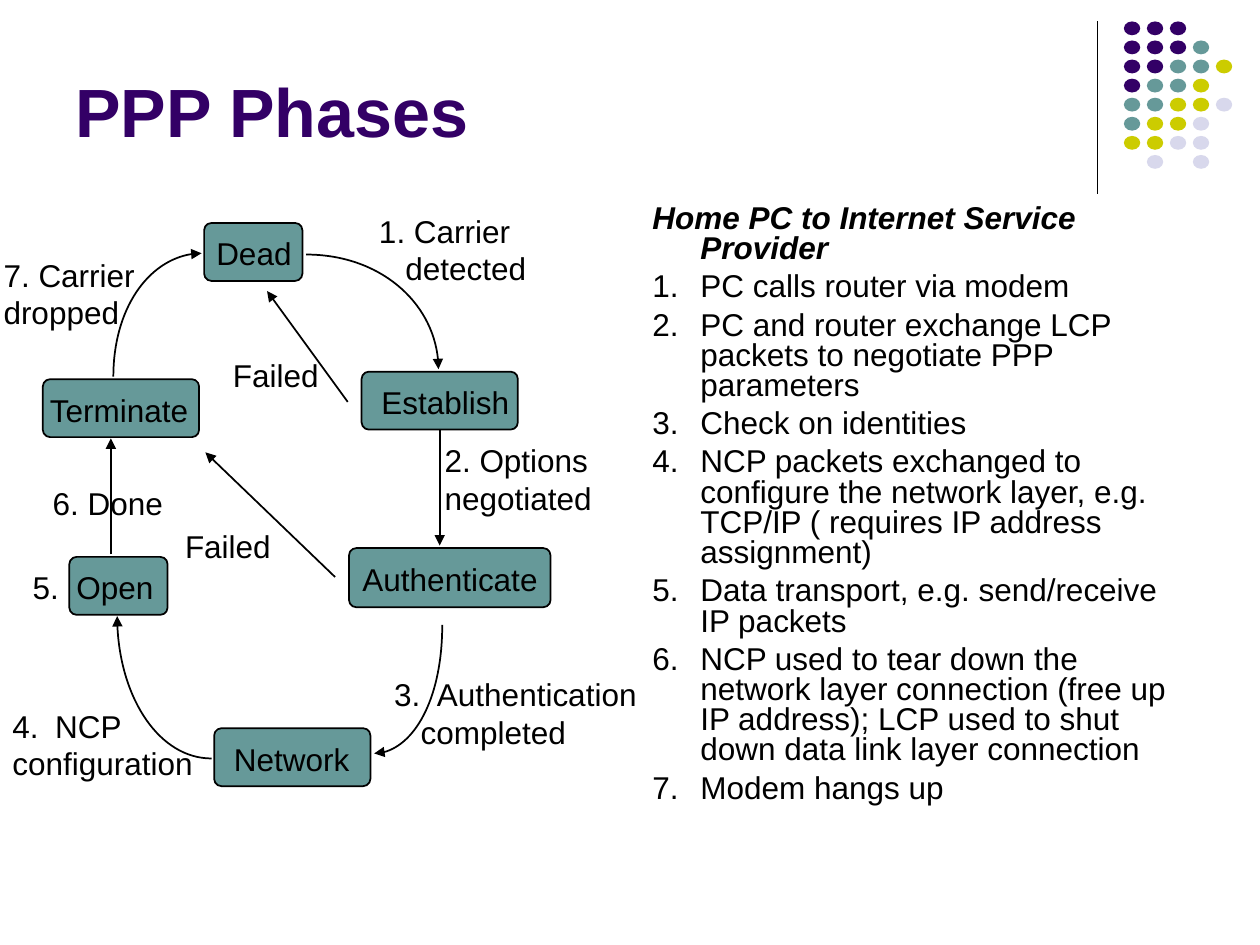
from lxml.etree import SubElement
from pptx import Presentation
from pptx.dml.color import RGBColor
from pptx.enum.shapes import MSO_CONNECTOR as Link, MSO_SHAPE as Form
from pptx.enum.text import MSO_ANCHOR as Anchor, PP_ALIGN as Align
from pptx.oxml.ns import qn
from pptx.util import Inches, Pt

BLACK, PURPLE, TEAL = "000000", "330066", "669999"
DOT_COLORS = {"P": PURPLE, "T": TEAL, "Y": "CCCC00", "L": "D8D8EC"}
DOT_ROWS = ["PPP  ", "PPPT ", "PPTTY", "PTTY ", "TTYYL", "TYYL ", "YYLL ", " L L "]

STEPS = [
    "PC calls router via modem",
    "PC and router exchange LCP packets to negotiate PPP parameters",
    "Check on identities",
    "NCP packets exchanged to configure the network layer, e.g. TCP/IP "
    "( requires IP address assignment)",
    "Data transport, e.g. send/receive IP packets",
    "NCP used to tear down the network layer connection (free up IP address); "
    "LCP used to shut down data link layer connection",
    "Modem hangs up",
]

# Phase name: left, top, width, height, left inset of the text
PHASES = {
    "Dead": (1.62, 1.77, 0.78, 0.46, 0.08),
    "Terminate": (0.34, 3.01, 1.24, 0.46, 0.04),
    "Open": (0.55, 4.42, 0.78, 0.46, 0.04),
    "Network": (1.7, 5.78, 1.24, 0.46, 0.14),
    "Establish": (2.87, 2.95, 1.24, 0.46, 0.14),
    "Authenticate": (2.77, 4.35, 1.6, 0.47, 0.09),
}

# Start, corner and end of each quarter-ellipse arrow
CURVES = [
    ((2.43, 2.02), (3.48, 2.02), (3.48, 2.93)),
    ((3.51, 4.96), (3.51, 5.98), (2.97, 5.98)),
    ((1.68, 6.02), (0.93, 6.02), (0.93, 4.89)),
    ((0.9, 2.99), (0.9, 2.01), (1.6, 2.01)),
]
STRAIGHTS = [
    ((0.88, 4.4), (0.88, 3.48)),
    ((2.76, 3.19), (2.12, 2.31)),
    ((2.66, 4.58), (1.63, 3.59)),
]

# Left, top, width, then (text, left margin, first-line indent) per line
LABELS = [
    (1.75, 2.78, 0.88, [("Failed", 0, 0)]),
    (1.37, 4.13, 0.88, [("Failed", 0, 0)]),
    (2.91, 1.63, 1.37, [("1. Carrier", 0, 0), ("detected", 0.21, 0)]),
    (3.43, 3.45, 1.37, [("2. Options", 0, 0), ("negotiated", 0, 0)]),
    (3.03, 5.31, 2.13, [("3.\tAuthentication", 0.34, -0.34), ("completed", 0.21, 0)]),
    (0, 5.56, 1.63, [("4.\tNCP", 0.34, -0.34), ("configuration", 0, 0)]),
    (0.32, 3.79, 1.07, [("6. Done", 0, 0)]),
    (-0.07, 1.98, 1.24, [("7. Carrier", 0, 0), ("dropped", 0, 0)]),
    (0.16, 4.46, 0.41, [("5.", 0, 0)]),
]


def color(value):
    return RGBColor.from_string(value)


def apply(target, formats):
    for name, value in formats.items():
        setattr(target, name, value)


def inches(*values):
    return [Inches(value) for value in values]


def write(para, text, margin=0, indent=0, ink=BLACK, **font):
    props = para._p.get_or_add_pPr()
    props.set("marL", str(Inches(margin)))
    props.set("indent", str(Inches(indent)))
    para.alignment = Align.LEFT
    span = para.add_run()
    span.text = text
    apply(span.font, {"name": "Arial", "size": Pt(18), **font})
    span.font.color.rgb = color(ink)


def add_text_box(page, box, lines, anchor=Anchor.TOP, spacing=None, **font):
    frame = page.shapes.add_textbox(*inches(*box)).text_frame
    apply(frame, {"word_wrap": True, "vertical_anchor": anchor})
    for index, (text, margin, indent) in enumerate(lines):
        para = frame.add_paragraph() if index else frame.paragraphs[0]
        write(para, text, margin, indent, **font)
        if spacing:
            para.line_spacing = spacing
            para.space_before = Pt(4.5 if index else 0)
    return frame


def style_line(shape, width=1.0, arrow=True):
    shape.line.color.rgb = color(BLACK)
    shape.line.width = Pt(width)
    if arrow:
        SubElement(shape.line._get_or_add_ln(), qn("a:tailEnd"), type="triangle")


def add_line(page, start, end, **style):
    line = page.shapes.add_connector(Link.STRAIGHT, *inches(*start, *end))
    style_line(line, **style)
    SubElement(line._element.spPr, qn("a:effectLst"))
    return line


def add_curve(page, start, corner, end):
    def toward_corner(point):
        return [p + 0.55 * (c - p) for p, c in zip(point, corner)]

    points = [toward_corner(start), toward_corner(end), end]
    builder = page.shapes.build_freeform(*inches(*start))
    builder.add_line_segments([inches(*point) for point in points], close=False)
    curve = builder.convert_to_shape()
    # Merge the three segments into one cubic curve
    outline = next(curve._element.iter(qn("a:path")))
    segments = outline.findall(qn("a:lnTo"))
    bezier = SubElement(outline, qn("a:cubicBezTo"))
    for segment in segments:
        bezier.append(segment[0])
        outline.remove(segment)
    curve.shadow.inherit = False
    curve.fill.background()
    style_line(curve)


def add_phase(page, name, left, top, width, height, inset):
    node = page.shapes.add_shape(Form.ROUNDED_RECTANGLE, *inches(left, top, width, height))
    node.adjustments[0] = 0.125
    node.shadow.inherit = False
    node.fill.solid()
    node.fill.fore_color.rgb = color(TEAL)
    style_line(node, arrow=False)
    apply(node.text_frame, {
        "word_wrap": True, "vertical_anchor": Anchor.MIDDLE,
        "margin_left": Inches(inset), "margin_right": 0,
        "margin_top": Inches(0.02), "margin_bottom": 0,
    })
    write(node.text_frame.paragraphs[0], name)
    return node


def add_dots(page, left, top, width, height):
    step_x = (width - 0.13) / (len(DOT_ROWS[0]) - 1)
    step_y = (height - 0.11) / (len(DOT_ROWS) - 1)
    for row, codes in enumerate(DOT_ROWS):
        for column, code in enumerate(codes):
            if code == " ":
                continue
            box = (left + column * step_x, top + row * step_y, 0.13, 0.11)
            dot = page.shapes.add_shape(Form.OVAL, *inches(*box))
            dot.shadow.inherit = False
            dot.fill.solid()
            dot.fill.fore_color.rgb = color(DOT_COLORS[code])
            dot.line.fill.background()


def add_steps(page, box):
    lines = [("Home PC to Internet Service Provider", 0.38, -0.38)]
    lines += [(f"{number}.\t{step}", 0.38, -0.38) for number, step in enumerate(STEPS, 1)]
    frame = add_text_box(page, box, lines, spacing=0.8)
    apply(frame.paragraphs[0].runs[0].font, {"bold": True, "italic": True})


def add_diagram(page, left, top):
    """Place the phase cycle with its nodes, arrows and labels from the given corner."""
    def shift(point):
        return point[0] + left, point[1] + top

    nodes = {name: add_phase(page, name, *shift(box), *box[2:]) for name, box in PHASES.items()}
    for curve in CURVES:
        add_curve(page, *map(shift, curve))
    for straight in STRAIGHTS:
        add_line(page, *map(shift, straight))
    options = add_line(page, shift((3.49, 3.41)), shift((3.49, 4.33)))
    options.begin_connect(nodes["Establish"], 2)
    for label_left, label_top, width, lines in LABELS:
        box = (*shift((label_left, label_top)), width, 0.1 + 0.3 * len(lines))
        # No right margin, so each line has room to stay whole
        add_text_box(page, box, lines).margin_right = 0


def main():
    deck = Presentation()
    apply(deck, {"slide_width": Inches(10), "slide_height": Inches(7.5)})
    page = deck.slides.add_slide(deck.slide_layouts[6])
    # Corner decoration
    add_line(page, (8.71, 0.17), (8.71, 1.54), width=0.75, arrow=False)
    add_dots(page, 8.92, 0.17, 0.86, 1.17)
    # Title, explanation and phase cycle
    add_text_box(page, (0.5, 0.13, 8.25, 1.12), [("PPP Phases", 0, 0)],
                 anchor=Anchor.BOTTOM, ink=PURPLE, size=Pt(39), bold=True)
    add_steps(page, (5.08, 1.58, 4.42, 5.12))
    add_diagram(page, 0, 0)
    deck.save("out.pptx")


if __name__ == "__main__":
    main()
